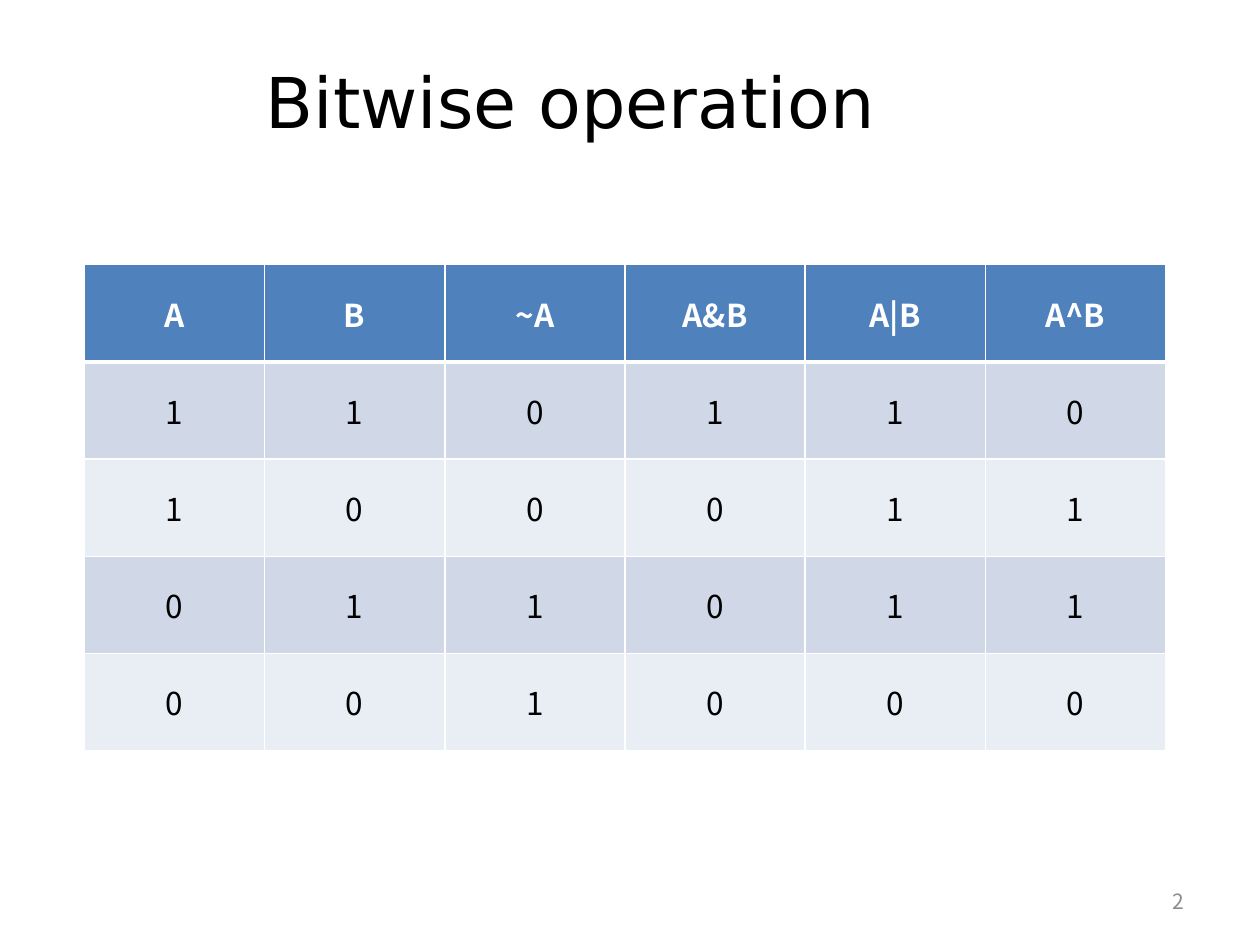
from lxml.etree import SubElement
from pptx import Presentation
from pptx.dml.color import RGBColor
from pptx.enum.text import MSO_ANCHOR, PP_ALIGN
from pptx.oxml.ns import qn
from pptx.util import Inches, Pt

BLACK = RGBColor(0x00, 0x00, 0x00)
WHITE = RGBColor(0xFF, 0xFF, 0xFF)
GRAY = RGBColor(0x8C, 0x8C, 0x8C)
HEADER_BLUE = RGBColor(0x4F, 0x81, 0xBD)
BANDS = (RGBColor(0xD0, 0xD8, 0xE8), RGBColor(0xE9, 0xED, 0xF4))

TITLE_FONT = "DejaVu Sans"
BODY_FONT = "Noto Sans CJK KR"

TRUTH_TABLE = (
    ("A", "B", "~A", "A&B", "A|B", "A^B"),
    ("1", "1", "0", "1", "1", "0"),
    ("1", "0", "0", "0", "1", "1"),
    ("0", "1", "1", "0", "1", "1"),
    ("0", "0", "1", "0", "0", "0"),
)


def write_text(frame, text, font, size, color, align, bold=False):
    frame.word_wrap = True
    frame.vertical_anchor = MSO_ANCHOR.MIDDLE
    para = frame.paragraphs[0]
    para.alignment = align
    span = para.add_run()
    span.text = text
    span.font.name = font
    span.font.size = Pt(size)
    span.font.bold = bold
    span.font.color.rgb = color


def add_title(page, text):
    title = page.shapes.title
    title.left, title.top = Inches(2.01), Inches(0.29)
    title.width, title.height = Inches(7.06), Inches(1.01)
    write_text(title.text_frame, text, TITLE_FONT, 40, BLACK, PP_ALIGN.LEFT)


def add_page_number(page, text):
    box = page.shapes.add_textbox(Inches(7.17), Inches(6.95), Inches(2.33), Inches(0.4))
    write_text(box.text_frame, text, BODY_FONT, 12, GRAY, PP_ALIGN.RIGHT)


def set_borders(cell, top, bottom):
    properties = cell._tc.get_or_add_tcPr()
    for side, width in (("L", 1), ("R", 1), ("T", top), ("B", bottom)):
        line = SubElement(properties, qn(f"a:ln{side}"), w=str(Pt(width)))
        fill = SubElement(line, qn("a:solidFill"))
        SubElement(fill, qn("a:srgbClr"), val=str(WHITE))


def format_cell(cell, text, row):
    header = row == 0
    set_borders(cell, top=3 if row == 1 else 1, bottom=3 if header else 1)
    cell.fill.solid()
    cell.fill.fore_color.rgb = HEADER_BLUE if header else BANDS[(row - 1) % 2]
    cell.vertical_anchor = MSO_ANCHOR.MIDDLE
    color = WHITE if header else BLACK
    write_text(cell.text_frame, text, BODY_FONT, 18, color, PP_ALIGN.CENTER, header)


def add_truth_table(page, rows):
    frame = page.shapes.add_table(
        len(rows), len(rows[0]), Inches(0.67), Inches(2.1), Inches(8.58), Inches(3.86)
    )
    for row, values in enumerate(rows):
        for column, value in enumerate(values):
            format_cell(frame.table.cell(row, column), value, row)


def main():
    deck = Presentation()
    deck.slide_width, deck.slide_height = Inches(10), Inches(7.5)
    page = deck.slides.add_slide(deck.slide_layouts[5])
    add_title(page, "Bitwise operation")
    add_page_number(page, "2")
    add_truth_table(page, TRUTH_TABLE)
    deck.save("out.pptx")


if __name__ == "__main__":
    main()
